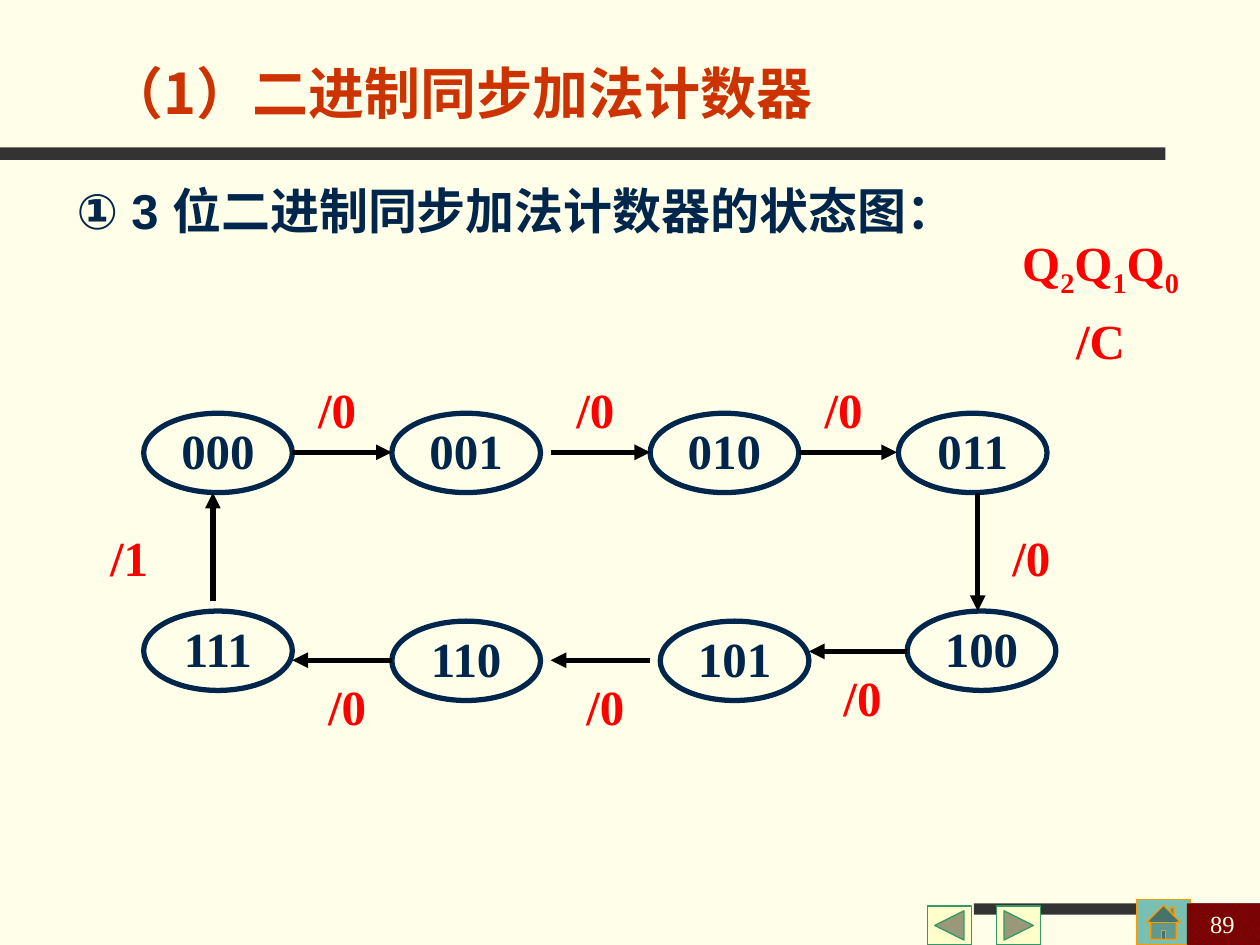
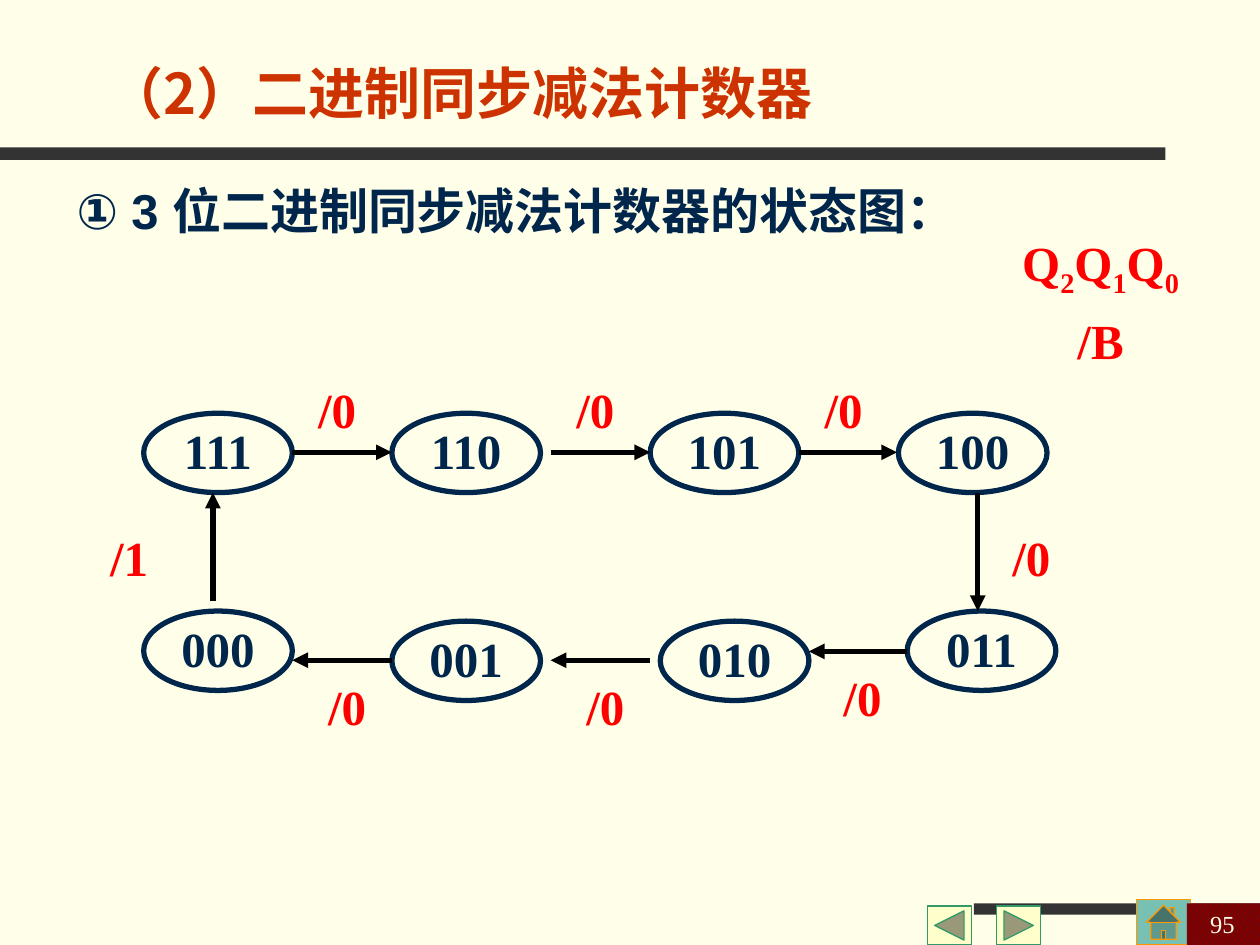
from dataclasses import dataclass

from lxml.etree import SubElement
from pptx import Presentation
from pptx.dml.color import RGBColor
from pptx.enum.dml import MSO_PATTERN
from pptx.enum.shapes import MSO_CONNECTOR, MSO_SHAPE
from pptx.enum.text import MSO_ANCHOR, MSO_AUTO_SIZE, PP_ALIGN
from pptx.oxml.ns import qn
from pptx.util import Inches, Pt


@dataclass(frozen=True)
class Theme:
    paper: str = "FFFFE9"
    band: str = "333333"
    title: str = "CC3300"
    ink: str = "00264C"
    label: str = "FF0000"
    arrow: str = "000000"
    button: str = "FFFFCC"
    button_edge: str = "339966"
    home: str = "78C0B2"
    home_edge: str = "FF9900"
    badge: str = "800000"
    badge_dots: str = "262D4C"
    serif: str = "Times New Roman"
    sans: str = "Arial"
    chinese: str = "Noto Sans CJK SC"
    title_size: int = 32
    body_size: int = 28
    number_size: int = 14
    stroke: float = 3
    thin_stroke: float = 0.75


STATE_SIZE = (1.18, 0.63)
LABEL_SIZE = (0.55, 0.47)

# Clockwise from the top left corner.
STATE_CORNERS = [(1.14, 3.28), (3.11, 3.28), (5.16, 3.28), (7.13, 3.28),
                 (7.2, 4.85), (5.24, 4.93), (3.11, 4.93), (1.14, 4.85)]

# Arrow start, arrow end, label corner; one for the step out of each state.
TRANSITIONS = [
    ((2.32, 3.59), (3.11, 3.59), (2.4, 2.96)),
    ((4.37, 3.59), (5.16, 3.59), (4.45, 2.96)),
    ((6.34, 3.59), (7.12, 3.59), (6.42, 2.96)),
    ((7.76, 3.91), (7.76, 4.85), (7.91, 4.14)),
    ((7.2, 5.17), (6.42, 5.17), (6.57, 5.25)),
    ((5.16, 5.24), (4.37, 5.24), (4.53, 5.32)),
    ((3.11, 5.24), (2.32, 5.24), (2.48, 5.32)),
    ((1.69, 4.77), (1.69, 3.91), (0.75, 4.14)),
]


def inches(values):
    return [Inches(value) for value in values]


def color(code):
    return RGBColor.from_string(code)


class SlideWriter:
    def __init__(self, deck, theme):
        self.deck = deck
        self.theme = theme
        self.page = None
        background = deck.slide_master.background.fill
        background.solid()
        background.fore_color.rgb = color(theme.paper)

    def format_para(self, para, size, ink, font, bold=True,
                    align=PP_ALIGN.LEFT, spacing=1.0):
        para.alignment = align
        para.line_spacing = spacing
        for span in para.runs:
            span.font.size = Pt(size)
            span.font.bold = bold
            span.font.color.rgb = color(ink)
            span.font.name = font
            SubElement(span.font._element, qn("a:ea"), typeface=self.theme.chinese)

    def shape(self, kind, place, fill=None, edge=None, width=0.75):
        box = self.page.shapes.add_shape(kind, *inches(place))
        box.shadow.inherit = False
        if fill:
            box.fill.solid()
            box.fill.fore_color.rgb = color(fill)
        else:
            box.fill.background()
        if edge:
            box.line.color.rgb = color(edge)
            box.line.width = Pt(width)
        else:
            box.line.fill.background()
        return box

    def start_page(self, title, number):
        theme = self.theme
        self.page = self.deck.slides.add_slide(self.deck.slide_layouts[5])
        for place in [(0, 1.17, 9.25, 0.1), (7.73, 7.17, 2.27, 0.09)]:
            self.shape(MSO_SHAPE.RECTANGLE, place, theme.band)
        for kind, left in [(MSO_SHAPE.ACTION_BUTTON_BACK_OR_PREVIOUS, 7.36),
                           (MSO_SHAPE.ACTION_BUTTON_FORWARD_OR_NEXT, 7.91)]:
            self.shape(kind, (left, 7.19, 0.35, 0.31), theme.button,
                       theme.button_edge, theme.thin_stroke)
        self.shape(MSO_SHAPE.ACTION_BUTTON_HOME, (9.02, 7.14, 0.43, 0.36),
                   theme.home, theme.home_edge, theme.thin_stroke)
        self.page_number(number)
        self.title(title)

    def page_number(self, number):
        theme = self.theme
        badge = self.shape(MSO_SHAPE.RECTANGLE, (9.42, 7.17, 0.58, 0.33))
        badge.fill.patterned()
        badge.fill.pattern = MSO_PATTERN.LARGE_CONFETTI
        badge.fill.fore_color.rgb = color(theme.badge_dots)
        badge.fill.back_color.rgb = color(theme.badge)
        frame = badge.text_frame
        frame.text = str(number)
        frame.margin_right = Inches(0.2)
        frame.vertical_anchor = MSO_ANCHOR.MIDDLE
        self.format_para(frame.paragraphs[0], theme.number_size, theme.paper,
                         theme.serif, bold=False, align=PP_ALIGN.RIGHT)

    def title(self, text):
        box = self.page.shapes.title
        box.left, box.top, box.width, box.height = inches((0.75, 0.36, 8.17, 0.69))
        frame = box.text_frame
        frame.text = text
        frame.auto_size = MSO_AUTO_SIZE.NONE
        frame.vertical_anchor = MSO_ANCHOR.BOTTOM
        self.format_para(frame.paragraphs[0], self.theme.title_size,
                         self.theme.title, self.theme.chinese)

    def heading(self, text):
        frame = self.page.shapes.add_textbox(*inches((0.51, 1.36, 7.56, 0.71))).text_frame
        frame.word_wrap = True
        frame.text = text
        para = frame.paragraphs[0]
        properties = para._p.get_or_add_pPr()
        properties.set("marL", str(Inches(0.38)))
        properties.set("indent", str(-Inches(0.38)))
        self.format_para(para, self.theme.body_size, self.theme.ink,
                         self.theme.sans, spacing=1.05)

    def state(self, code, corner):
        theme = self.theme
        oval = self.shape(MSO_SHAPE.OVAL, (*corner, *STATE_SIZE),
                          edge=theme.ink, width=theme.stroke)
        frame = oval.text_frame
        frame.word_wrap = False
        frame.vertical_anchor = MSO_ANCHOR.MIDDLE
        frame.text = code
        self.format_para(frame.paragraphs[0], theme.body_size, theme.ink,
                         theme.serif, align=PP_ALIGN.CENTER, spacing=0.95)

    def label(self, text, corner, size=LABEL_SIZE):
        frame = self.page.shapes.add_textbox(*inches((*corner, *size))).text_frame
        frame.word_wrap = False
        frame.vertical_anchor = MSO_ANCHOR.MIDDLE
        frame.text = text
        for para in frame.paragraphs:
            self.format_label(para)
        return frame

    def format_label(self, para):
        self.format_para(para, self.theme.body_size, self.theme.label,
                         self.theme.serif, align=PP_ALIGN.CENTER, spacing=1.2)

    def legend(self, output):
        """Name the state bits, with lowered digits, above the output bit."""
        frame = self.label("", (7.91, 1.86), (1.65, 0.95))
        bits, below = frame.paragraphs[0], frame.add_paragraph()
        for character in "Q2Q1Q0":
            span = bits.add_run()
            span.text = character
            if character.isdigit():
                span.font._element.set("baseline", "-25000")
        below.text = output
        self.format_label(bits)
        self.format_label(below)

    def arrow(self, start, end):
        line = self.page.shapes.add_connector(
            MSO_CONNECTOR.STRAIGHT, *inches((*start, *end)))
        line.line.color.rgb = color(self.theme.arrow)
        line.line.width = Pt(self.theme.stroke)
        SubElement(line.line._get_or_add_ln(), qn("a:tailEnd"), type="triangle")
        SubElement(line._element.spPr, qn("a:effectLst"))

    def state_diagram(self, values, output):
        for value, corner in zip(values, STATE_CORNERS):
            self.state(f"{value:03b}", corner)
        self.legend(output)
        for step, (start, end, corner) in enumerate(TRANSITIONS, 1):
            self.arrow(start, end)
            self.label("/1" if step == len(TRANSITIONS) else "/0", corner)


def main():
    deck = Presentation()
    deck.slide_width, deck.slide_height = Inches(10), Inches(7.5)
    writer = SlideWriter(deck, Theme())
    counters = [
        (1, "加法", 89, range(8), "/C"),
        (2, "减法", 95, range(7, -1, -1), "/B"),
    ]
    for order, operation, number, values, output in counters:
        writer.start_page(f"（{order}）二进制同步{operation}计数器", number)
        writer.heading(f"① 3 位二进制同步{operation}计数器的状态图：")
        writer.state_diagram(values, output)
    deck.save("out.pptx")


if __name__ == "__main__":
    main()
